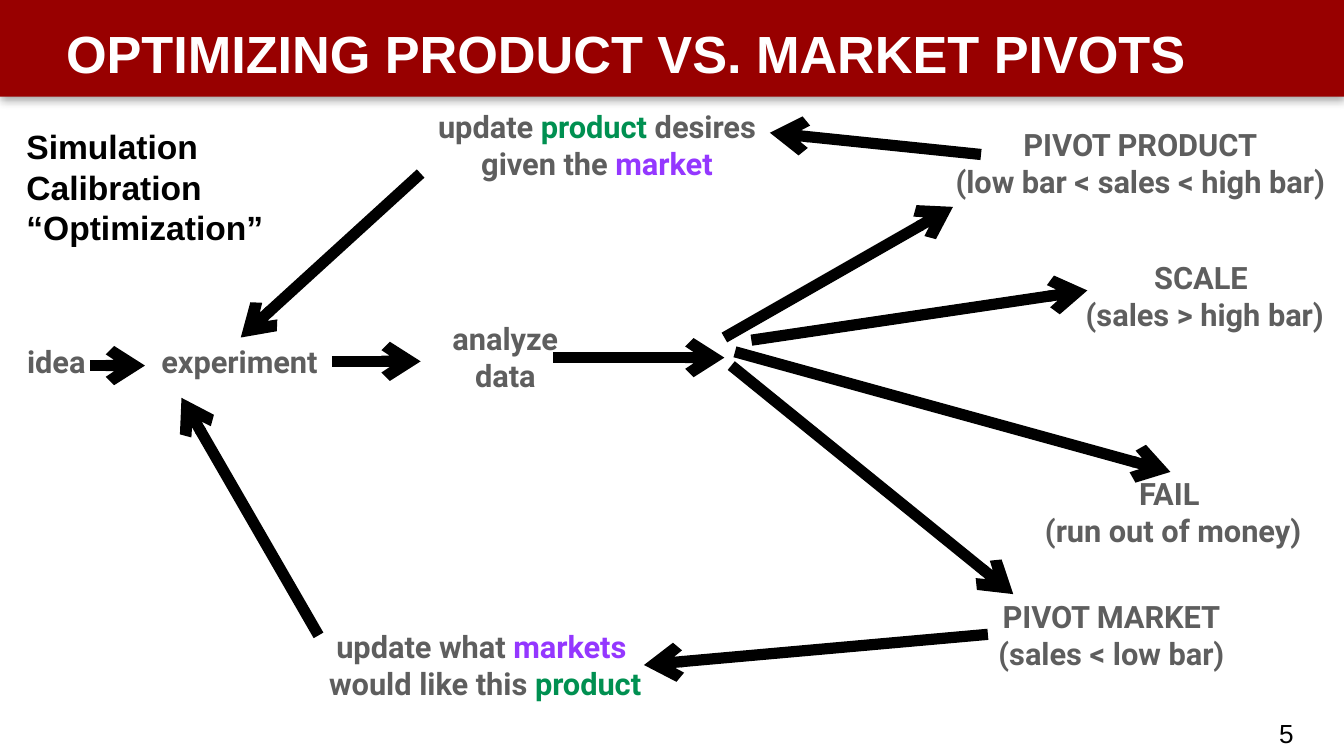
import pptx
import pptx.dml.color
import pptx.enum.shapes
import pptx.enum.text
import pptx.oxml
import pptx.oxml.ns
import pptx.util

Cm = pptx.util.Cm
Pt = pptx.util.Pt
Align = pptx.enum.text.PP_ALIGN
Anchor = pptx.enum.text.MSO_ANCHOR

COLORS = {
    "banner": "980000",
    "white": "FFFFFF",
    "black": "000000",
    "gray": "5E5E5E",
    "product": "009051",
    "market": "9437FF",
}

STEPS = [
    ((0.2, 6.43, 1.73, 0.81), True, None, [["idea"]]),
    ((2.77, 6.43, 3.51, 0.81), True, None, [["experiment"]]),
    ((8.1, 5.99, 2.9, 1.52), True, None, [["analyze data"]]),
    ((20.32, 4.83, 4.9, 1.52), False, None, [["SCALE "], ["(sales > high bar)"]]),
    ((17.6, 2.31, 7.9, 1.52), True, "white",
     [["PIVOT PRODUCT"], ["(low bar < sales < high bar)"]]),
    ((18.67, 11.23, 4.67, 1.52), False, "white",
     [["PIVOT MARKET"], ["(sales < low bar)"]]),
    ((19.41, 8.92, 5.38, 1.52), False, None, [["FAIL"], [" (run out of money)"]]),
    ((5.92, 11.81, 6.5, 1.52), False, None,
     [["update what ", ("markets ", "market")],
      ["would like this ", ("product", "product")]]),
    ((7.95, 1.98, 6.81, 1.52), False, None,
     [["update ", ("product ", "product"), "desires "],
      ["given the ", ("market ", "market")]]),
]

ARROWS = [
    ((1.7, 6.91), (2.74, 6.91)),
    ((6.27, 6.83), (7.95, 6.83)),
    ((10.46, 6.76), (13.69, 6.76)),
    ((14.2, 6.43), (20.55, 5.49)),
    ((13.69, 6.38), (18.01, 3.91)),
    ((13.82, 6.91), (19.15, 11.23)),
    ((13.89, 6.65), (22.12, 8.92)),
    ((18.54, 2.92), (14.55, 2.51)),
    ((7.95, 3.28), (4.55, 6.38)),
    ((18.67, 11.99), (12.17, 12.57)),
    ((6.02, 12.01), (3.43, 7.52)),
]


def rgb(name):
    return pptx.dml.color.RGBColor.from_string(COLORS[name])


def add_banner(page):
    banner = page.shapes.add_shape(
        pptx.enum.shapes.MSO_SHAPE.RECTANGLE, 0, 0, Cm(25.4), Cm(1.83))
    banner.fill.solid()
    banner.fill.fore_color.rgb = rgb("banner")
    banner.line.fill.background()
    banner.shadow.inherit = False
    effects = banner.element.spPr.find(pptx.oxml.ns.qn("a:effectLst"))
    effects.append(pptx.oxml.parse_xml(
        f'<a:outerShdw {pptx.oxml.ns.nsdecls("a")} blurRad="{Pt(5)}" '
        f'dist="{Pt(1.8)}" dir="5400000" algn="t" rotWithShape="0">'
        f'<a:srgbClr val="{COLORS["black"]}"><a:alpha val="35000"/></a:srgbClr>'
        '</a:outerShdw>'))


def add_text(page, place, lines, size, font="Arial", color="black", bold=True,
             align=Align.LEFT, anchor=Anchor.TOP, insets=(0.18, 0.1),
             wrap=True, fill=None):
    box = page.shapes.add_textbox(*map(Cm, place))
    if fill:
        box.fill.solid()
        box.fill.fore_color.rgb = rgb(fill)
    frame = box.text_frame
    frame.word_wrap = wrap
    frame.vertical_anchor = anchor
    frame.margin_left = frame.margin_right = Cm(insets[0])
    frame.margin_top = frame.margin_bottom = Cm(insets[1])
    for index, line in enumerate(lines):
        para = frame.add_paragraph() if index else frame.paragraphs[0]
        para.alignment = align
        for part in line:
            words, tint = (part, color) if isinstance(part, str) else part
            span = para.add_run()
            span.text = words
            span.font.name = font
            span.font.size = Pt(size)
            span.font.bold = bold
            span.font.color.rgb = rgb(tint)


def add_step(page, place, wrap, fill, lines):
    add_text(page, place, lines, 16.5, font="Roboto", color="gray",
             align=Align.CENTER, anchor=Anchor.MIDDLE, insets=(0.05, 0.05),
             wrap=wrap, fill=fill)


def add_arrow(page, start, end):
    arrow = page.shapes.add_connector(
        pptx.enum.shapes.MSO_CONNECTOR.STRAIGHT, *map(Cm, start + end))
    arrow.line.width = Pt(6)
    arrow.line.color.rgb = rgb("black")
    namespace = pptx.oxml.ns.nsdecls("a")
    arrow.line._get_or_add_ln().append(
        pptx.oxml.parse_xml(f'<a:tailEnd {namespace} type="arrow"/>'))
    arrow.element.spPr.append(pptx.oxml.parse_xml(f'<a:effectLst {namespace}/>'))


def main():
    deck = pptx.Presentation()
    deck.slide_width = Cm(25.4)
    deck.slide_height = Cm(14.29)
    page = deck.slides.add_slide(deck.slide_layouts[6])

    add_banner(page)
    add_text(page, (21.89, 13.46, 2.74, 0.76), [["5"]], 14, bold=False,
             align=Align.RIGHT)
    add_text(page, (1.07, 0.08, 24.33, 1.83),
             [["OPTIMIZING PRODUCT VS. MARKET PIVOTS"]], 28, color="white",
             anchor=Anchor.MIDDLE)
    for step in STEPS:
        add_step(page, *step)
    for start, end in ARROWS:
        add_arrow(page, start, end)
    add_text(page, (0.25, 2.26, 5.03, 2.57),
             [["Simulation"], ["Calibration"], ["“Optimization”"]], 18,
             insets=(0.25, 0.13), wrap=False)

    deck.save("out.pptx")


if __name__ == "__main__":
    main()
